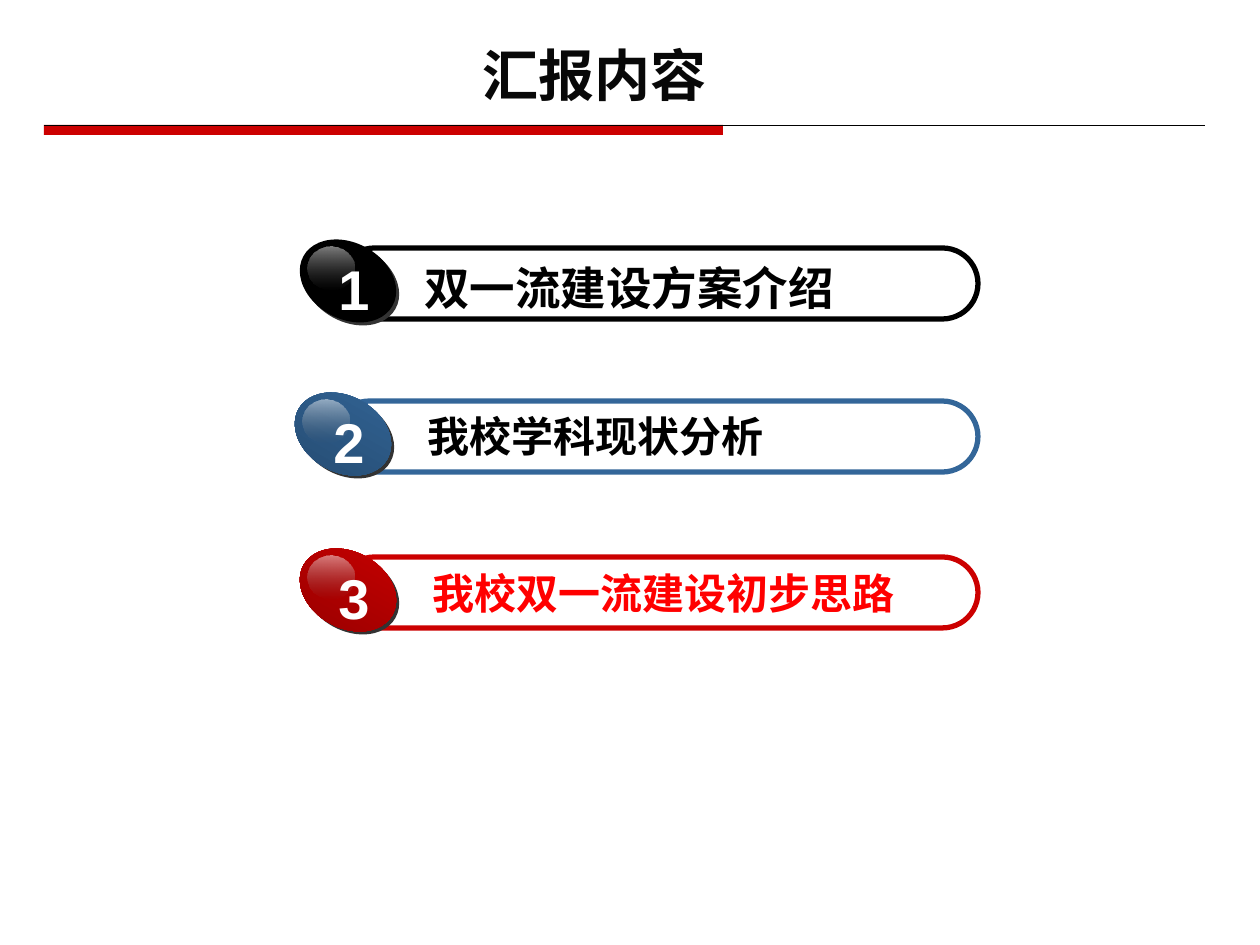
import pptx
import pptx.util
import pptx.dml.color
import pptx.enum.shapes
import pptx.enum.text
import pptx.oxml.ns
from lxml import etree

RGBColor = pptx.dml.color.RGBColor
SHAPE = pptx.enum.shapes.MSO_SHAPE
ALIGN = pptx.enum.text.PP_ALIGN
ANCHOR = pptx.enum.text.MSO_ANCHOR
qn = pptx.oxml.ns.qn

PX = 914400 / 126

BLACK = RGBColor(0x00, 0x00, 0x00)
WHITE = RGBColor(0xFF, 0xFF, 0xFF)
TITLE_INK = RGBColor(0x08, 0x08, 0x08)
SHADE = RGBColor(0x33, 0x33, 0x33)
GLOSS_END = RGBColor(0x76, 0x76, 0x76)
RED = RGBColor(0xCC, 0x00, 0x00)
DARK_RED = RGBColor(0x92, 0x00, 0x00)
BRIGHT_RED = RGBColor(0xFF, 0x00, 0x00)
BLUE = RGBColor(0x33, 0x66, 0x99)
DARK_BLUE = RGBColor(0x24, 0x49, 0x6D)

LATIN, CJK = "Arial", "Noto Sans CJK SC"
PILL_RIGHT = 978


def emu(*lengths):
    return [round(n * PX) for n in lengths]


def add_shape(s, kind, box, fill=None):
    sp = s.shapes.add_shape(kind, *emu(*box))
    sp.shadow.inherit = False
    sp.line.fill.background()
    if fill is None:
        sp.fill.background()
    else:
        sp.fill.solid()
        sp.fill.fore_color.rgb = fill
    return sp


def set_gradient(sp, colors, alphas=()):
    """Fill from top to bottom; alphas are opacity percentages."""
    sp.fill.gradient()
    sp.fill.gradient_angle = 270
    for stop, color in zip(sp.fill.gradient_stops, colors):
        stop.color.rgb = color
    for clr, alpha in zip(sp._element.spPr.iter(qn("a:srgbClr")), alphas):
        etree.SubElement(clr, qn("a:alpha"), val=str(alpha * 1000))


def add_text(s, box, text, size, color, font=LATIN, align=ALIGN.LEFT,
             anchor=ANCHOR.TOP, wrap=True):
    tf = s.shapes.add_textbox(*emu(*box)).text_frame
    tf.word_wrap = wrap
    tf.vertical_anchor = anchor
    tf.text = text
    p = tf.paragraphs[0]
    p.alignment = align
    r = p.runs[0]
    r.font.size = pptx.util.Pt(size)
    r.font.bold = True
    r.font.color.rgb = color
    r.font.name = font
    etree.SubElement(r._r.get_or_add_rPr(), qn("a:ea"), typeface=font)
    return p


def add_header(s, x, y, w):
    """Title over a thin rule with a thick red start."""
    rule_y = y + 90
    add_shape(s, SHAPE.RECTANGLE, (x, rule_y, 679, 10), RED)
    rule = s.shapes.add_connector(pptx.enum.shapes.MSO_CONNECTOR.STRAIGHT,
                                  *emu(x, rule_y, x + w, rule_y))
    rule.line.color.rgb = BLACK
    rule.line.width = pptx.util.Pt(0.5)
    etree.SubElement(rule._element.spPr, qn("a:effectLst"))
    add_text(s, (x + 40, y, 1022, 79), "汇报内容", 32, TITLE_INK,
             align=ALIGN.CENTER, anchor=ANCHOR.BOTTOM)


def add_badge(s, x, y, number, color, dark):
    """Glossy tilted ball with a number."""
    for offset, fill in ((3, SHADE), (0, color)):
        ball = add_shape(s, SHAPE.OVAL, (x + offset, y + offset, 102, 76), fill)
        ball.rotation = 29.3
    if dark != color:
        set_gradient(ball, (color, dark))
    gloss = add_shape(s, SHAPE.OVAL, (x + 10, y + 4, 47, 43), WHITE)
    set_gradient(gloss, (WHITE, GLOSS_END), (50, 0))
    add_text(s, (x + 29, y + 5, 54, 73), str(number), 32, WHITE,
             align=ALIGN.CENTER, wrap=False)


def add_item(s, x, y, number, label, label_box, size, ink, color, dark):
    """Outlined pill with a badge; label_box is relative to x, y."""
    pill = add_shape(s, SHAPE.ROUNDED_RECTANGLE,
                     (x + 42, y + 5, PILL_RIGHT - x - 42, 71))
    pill.adjustments[0] = 0.5
    pill.line.color.rgb = color
    pill.line.width = pptx.util.Pt(3)
    add_badge(s, x, y, number, color, dark)
    dx, dy, w, h = label_box
    p = add_text(s, (x + dx, y + dy, w, h), label, size, ink, CJK)
    p.line_spacing = 1.15


def main():
    prs = pptx.Presentation()
    prs.slide_width, prs.slide_height = emu(1260, 945)
    s = prs.slides.add_slide(prs.slide_layouts[6])
    add_header(s, 44, 35, 1161)
    items = [
        (297, 243, "双一流建设方案介绍", (115, 3, 481, 68), 26, BLACK, BLACK, BLACK),
        (292, 396, "我校学科现状分析", (123, 1, 488, 64), 24, BLACK, BLUE, DARK_BLUE),
        (297, 552, "我校双一流建设初步思路", (123, 2, 538, 64), 24, BRIGHT_RED, RED, DARK_RED),
    ]
    for number, (x, y, *details) in enumerate(items, 1):
        add_item(s, x, y, number, *details)
    prs.save("out.pptx")


if __name__ == "__main__":
    main()
